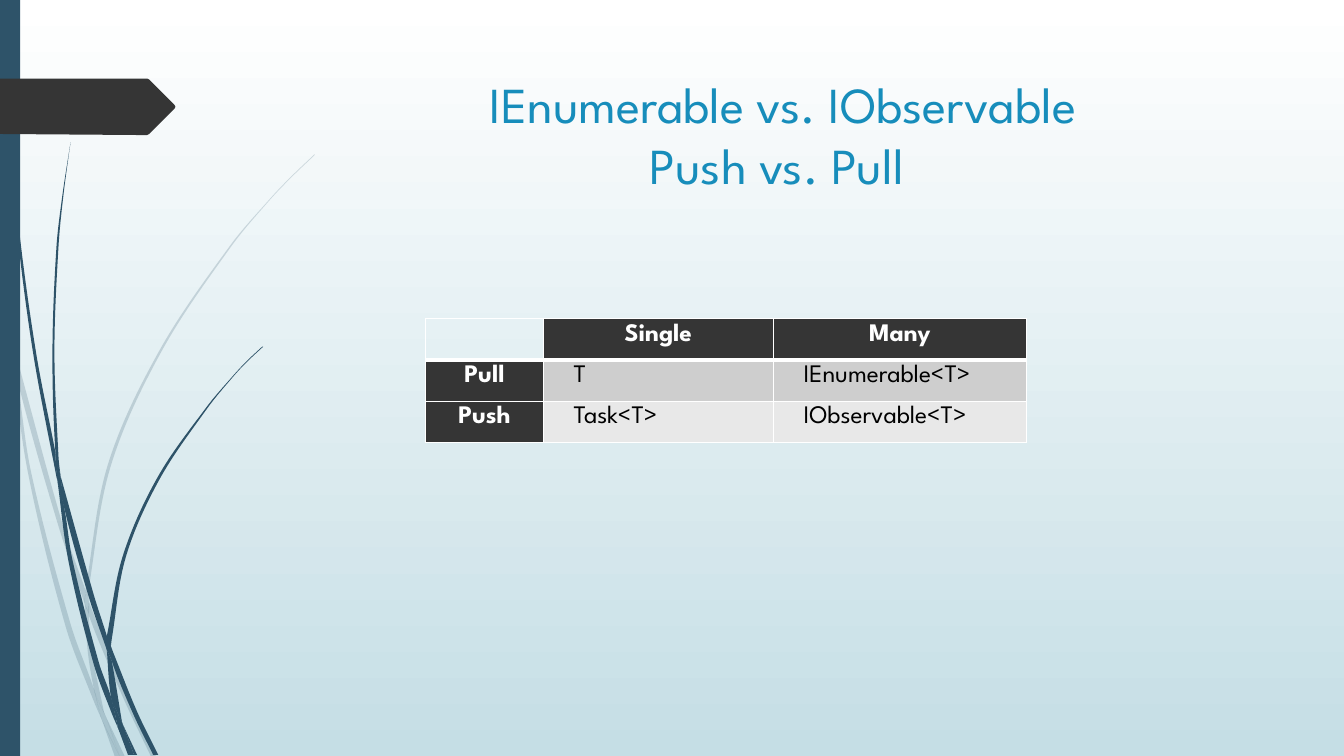
import lxml.etree
import pptx
import pptx.dml.color
import pptx.enum.shapes
import pptx.enum.text
import pptx.oxml.ns
import pptx.util

Inches, Pt = pptx.util.Inches, pptx.util.Pt
RGBColor = pptx.dml.color.RGBColor
PP_ALIGN = pptx.enum.text.PP_ALIGN
MSO_ANCHOR = pptx.enum.text.MSO_ANCHOR
qn = pptx.oxml.ns.qn

FONT = "League Spartan"
WHITE = RGBColor(0xFF, 0xFF, 0xFF)
BLACK = RGBColor(0x00, 0x00, 0x00)
MIST = RGBColor(0xC5, 0xDE, 0xE5)
NAVY = RGBColor(0x2E, 0x53, 0x69)
CHARCOAL = RGBColor(0x35, 0x35, 0x35)
BLUE = RGBColor(0x17, 0x8D, 0xBB)
BANDS = [RGBColor(0xCE, 0xCE, 0xCE), RGBColor(0xE8, 0xE8, 0xE8)]

# Each piece of grass has two edges: one followed one way, the other back.
PALE_GRASS = [
    ([(.11, 3.5), (.09, 3.22), (0, 2.82)], [(0, 2.99), (.1, 3.44), (.11, 3.5)]),
    ([(.14, 3.45), (.17, 3.76), (.58, 5.22), (.84, 5.99)], [(.85, 5.86), (.62, 5.2), (.14, 3.45)]),
    ([(.88, 5.96), (.88, 6.1), (1.23, 6.94), (1.5, 7.51)],
     [(1.55, 7.51), (1.27, 6.92), (.92, 6.07), (.88, 5.96)]),
    ([(1.19, 7.51), (1.24, 7.51)], [(1.05, 7.11), (1.19, 7.51)]),
    ([(.11, 3.5), (.28, 4.7), (.65, 6.21), (.92, 6.93), (1.01, 7.14)],
     [(.99, 7.07), (.93, 6.83), (.7, 6.19), (.31, 4.69), (.17, 3.76), (.11, 3.5)]),
    ([(.84, 5.99), (.87, 6.46), (.93, 6.83), (.96, 6.92), (1.05, 7.11)],
     [(1.03, 7.06), (.91, 6.46), (.88, 6.1), (.88, 6.08), (.84, 5.99)]),
    ([(3.12, 1.53), (2.89, 1.75), (2.68, 1.97), (2.28, 2.44), (1.58, 3.48), (1.07, 4.61),
      (.85, 5.84), (.85, 5.86)],
     [(.88, 5.96), (.88, 5.84), (1.1, 4.62), (1.6, 3.49), (2.29, 2.45), (2.68, 1.98),
      (2.9, 1.75), (3.12, 1.54)]),
    ([(1.01, 7.14), (1.14, 7.51)], [(1.19, 7.51), (1.01, 7.14)]),
    ([(.88, 6.08), (.88, 6.1), (.88, 5.96)], [(.85, 5.86), (.84, 5.99), (.88, 6.08)]),
    ([(.93, 6.83), (.99, 7.07), (1.01, 7.14), (1.19, 7.51)],
     [(1.19, 7.51), (1.05, 7.11), (.96, 6.92), (.93, 6.83)]),
]
DARK_GRASS = [
    ([(.03, -.04), (.04, .44), (.07, 1.06), (.17, 2.29), (.33, 3.51), (.56, 4.73), (.57, 4.77)],
     [(.55, 4.53), (.55, 4.49), (.36, 3.51), (.19, 2.28), (.08, 1.05), (.05, .44), (.04, -.04)]),
    ([(.6, 4.72), (.64, 5.05), (.88, 5.92), (1.06, 6.45)],
     [(1.06, 6.33), (1.06, 6.31), (.93, 5.9), (.6, 4.72)]),
    ([(1.1, 6.41), (1.11, 6.56), (1.32, 7.08), (1.52, 7.49)],
     [(1.57, 7.49), (1.36, 7.06), (1.13, 6.49), (1.1, 6.41)]),
    ([(.57, 4.77), (.68, 5.57), (.93, 6.59), (1.11, 7.08), (1.17, 7.22)],
     [(1.16, 7.17), (1.1, 6.91), (.98, 6.57), (.72, 5.56), (.64, 5.05), (.57, 4.77)]),
    ([(.7, 1.41), (.62, 1.93), (.56, 2.45), (.52, 3.49), (.55, 4.49), (.6, 4.72)],
     [(.6, 4.72), (.58, 4.53), (.54, 3.49), (.58, 2.45), (.63, 1.93), (.7, 1.41)]),
    ([(1.33, 7.49), (1.36, 7.49)], [(1.22, 7.19), (1.33, 7.49)]),
    ([(.55, 4.49), (.55, 4.53), (.57, 4.77), (.64, 5.05)], [(.6, 4.72), (.55, 4.49)]),
    ([(2.6, 3.44), (2.45, 3.58), (2.31, 3.73), (2.04, 4.05), (1.56, 4.74), (1.22, 5.51),
      (1.06, 6.31)],
     [(1.1, 6.41), (1.11, 6.33), (1.25, 5.52), (1.58, 4.76), (2.05, 4.06), (2.31, 3.74),
      (2.45, 3.59), (2.61, 3.44)]),
    ([(1.17, 7.22), (1.27, 7.49)], [(1.31, 7.49), (1.17, 7.22)]),
    ([(1.06, 6.45), (1.1, 6.91), (1.16, 7.06), (1.22, 7.19)],
     [(1.21, 7.16), (1.11, 6.56), (1.09, 6.51), (1.06, 6.45)]),
    ([(1.06, 6.45), (1.09, 6.51), (1.11, 6.56)], [(1.1, 6.41), (1.06, 6.31), (1.06, 6.45)]),
    ([(1.1, 6.91), (1.16, 7.17), (1.17, 7.22), (1.3, 7.49)],
     [(1.33, 7.49), (1.22, 7.19), (1.16, 7.06), (1.1, 6.91)]),
]
TAG = [(0, .78), (1.46, .78), (1.48, .79), (1.73, 1.04), (1.74, 1.06), (1.73, 1.08),
       (1.48, 1.33), (1.46, 1.34), (1.36, 1.34), (0, 1.33)]


def controls(points):
    """Return Bezier control points, three per step, along the given points."""
    knots = [points[0], *points, points[-1]]
    result = []
    for a, b, c, d in zip(knots, knots[1:], knots[2:], knots[3:]):
        span = ((c[0] - b[0]) ** 2 + (c[1] - b[1]) ** 2) ** 0.5

        def reach(p, q):
            """Return a third of the span in the direction from p to q."""
            length = ((q[0] - p[0]) ** 2 + (q[1] - p[1]) ** 2) ** 0.5 or 1
            return [(n - m) / length * span / 3 for m, n in zip(p, q)]

        out, back = reach(a, c), reach(b, d)
        result += [(b[0] + out[0], b[1] + out[1]), (c[0] - back[0], c[1] - back[1]), c]
    return result


class SlideBuilder:
    """Holds the style and the current slide."""

    def __init__(self, prs):
        """Add a title-only slide."""
        self.s = prs.slides.add_slide(prs.slide_layouts[5])

    def background(self, top, bottom):
        """Fill the background with a vertical gradient."""
        fill = self.s.background.fill
        fill.gradient()
        fill.gradient_angle = 270
        for stop, color, position in zip(fill.gradient_stops, (top, bottom), (0, 1)):
            stop.color.rgb = color
            stop.position = position

    def paint(self, sp, color, alpha=None):
        """Give a shape a plain fill without line or shadow."""
        sp.shadow.inherit = False
        sp.line.fill.background()
        sp.fill.solid()
        sp.fill.fore_color.rgb = color
        if alpha is not None:
            clr = sp.fill._xPr.find(".//" + qn("a:srgbClr"))
            lxml.etree.SubElement(clr, qn("a:alpha"), val=str(alpha * 1000))

    def outline(self, points, color, alpha=None):
        """Draw a closed outline through points in inches and return it."""
        start, *rest = [(Inches(x), Inches(y)) for x, y in points]
        builder = self.s.shapes.build_freeform(*start)
        builder.add_line_segments(rest)
        sp = builder.convert_to_shape()
        self.paint(sp, color, alpha)
        return sp

    def grass(self, edge, return_edge, color, alpha=None):
        """Draw a piece of grass, turning its segments into Bezier curves."""
        points = [edge[0], *controls(edge), *[return_edge[0]] * 3, *controls(return_edge)]
        sp = self.outline(points, color, alpha)
        lines = sp._element.findall(".//" + qn("a:lnTo"))
        for first, second, third in zip(lines[::3], lines[1::3], lines[2::3]):
            curve = lxml.etree.Element(qn("a:cubicBezTo"))
            first.addprevious(curve)
            for line in (first, second, third):
                curve.append(line[0])
                line.getparent().remove(line)

    def rect(self, x, y, w, h, color):
        """Draw a filled rectangle."""
        sp = self.s.shapes.add_shape(pptx.enum.shapes.MSO_SHAPE.RECTANGLE,
                                     Inches(x), Inches(y), Inches(w), Inches(h))
        self.paint(sp, color)

    def text(self, tf, text, size, color, bold=False, align=PP_ALIGN.CENTER):
        """Set and format the text of a frame."""
        tf.text = text
        for p in tf.paragraphs:
            p.alignment = align
            for r in p.runs:
                r.font.name, r.font.size, r.font.bold = FONT, Pt(size), bold
                r.font.color.rgb = color

    def title(self, x, y, w, h, text):
        """Place the title; a vertical tab breaks the line."""
        sp = self.s.shapes.title
        sp.left, sp.top, sp.width, sp.height = Inches(x), Inches(y), Inches(w), Inches(h)
        tf = sp.text_frame
        tf.word_wrap = True
        tf.auto_size = pptx.enum.text.MSO_AUTO_SIZE.NONE
        tf.vertical_anchor = MSO_ANCHOR.TOP
        self.text(tf, text, 36, BLUE)

    def borders(self, cell, bottom):
        """Give a cell white borders, one point wide except at the bottom."""
        tc_pr = cell._tc.get_or_add_tcPr()
        for i, (side, width) in enumerate(zip("LRTB", (1, 1, 1, bottom))):
            ln = lxml.etree.Element(qn("a:ln" + side), w=str(Pt(width)))
            fill = lxml.etree.SubElement(ln, qn("a:solidFill"))
            lxml.etree.SubElement(fill, qn("a:srgbClr"), val=str(WHITE))
            tc_pr.insert(i, ln)

    def table(self, x, y, widths, row_height, rows):
        """Draw a table with dark headings and banded body rows."""
        table = self.s.shapes.add_table(
            len(rows), len(widths), Inches(x), Inches(y),
            Inches(sum(widths)), Inches(row_height * len(rows))).table
        for col, width in zip(table.columns, widths):
            col.width = Inches(width)
        for i, row in enumerate(rows):
            for j, text in enumerate(row):
                cell, heading = table.cell(i, j), i == 0 or j == 0
                cell.fill.background()
                if text:
                    cell.fill.solid()
                    cell.fill.fore_color.rgb = CHARCOAL if heading else BANDS[i - 1]
                    self.text(cell.text_frame, text, 18, WHITE if heading else BLACK, heading,
                              PP_ALIGN.CENTER if heading else PP_ALIGN.LEFT)
                if not heading:
                    cell.margin_left = Inches(0.3)
                self.borders(cell, bottom=3 if i == 0 else 1)


prs = pptx.Presentation()
prs.slide_width, prs.slide_height = Inches(13.33), Inches(7.5)
slide = SlideBuilder(prs)
slide.background(WHITE, MIST)
for pieces, alpha in ((PALE_GRASS, 20), (DARK_GRASS, None)):
    for edge, return_edge in pieces:
        slide.grass(edge, return_edge, NAVY, alpha)
slide.rect(0, 0, 0.2, 7.5, NAVY)
slide.outline(TAG, CHARCOAL)
slide.title(2.83, 0.68, 9.75, 1.4, " IEnumerable vs. IObservable\vPush vs. Pull")
slide.table(4.22, 3.16, [1.17, 2.28, 2.51], 0.41, [
    ["", "Single", "Many"],
    ["Pull", "T", "IEnumerable<T>"],
    ["Push", "Task<T>", "IObservable<T>"],
])
prs.save("out.pptx")
